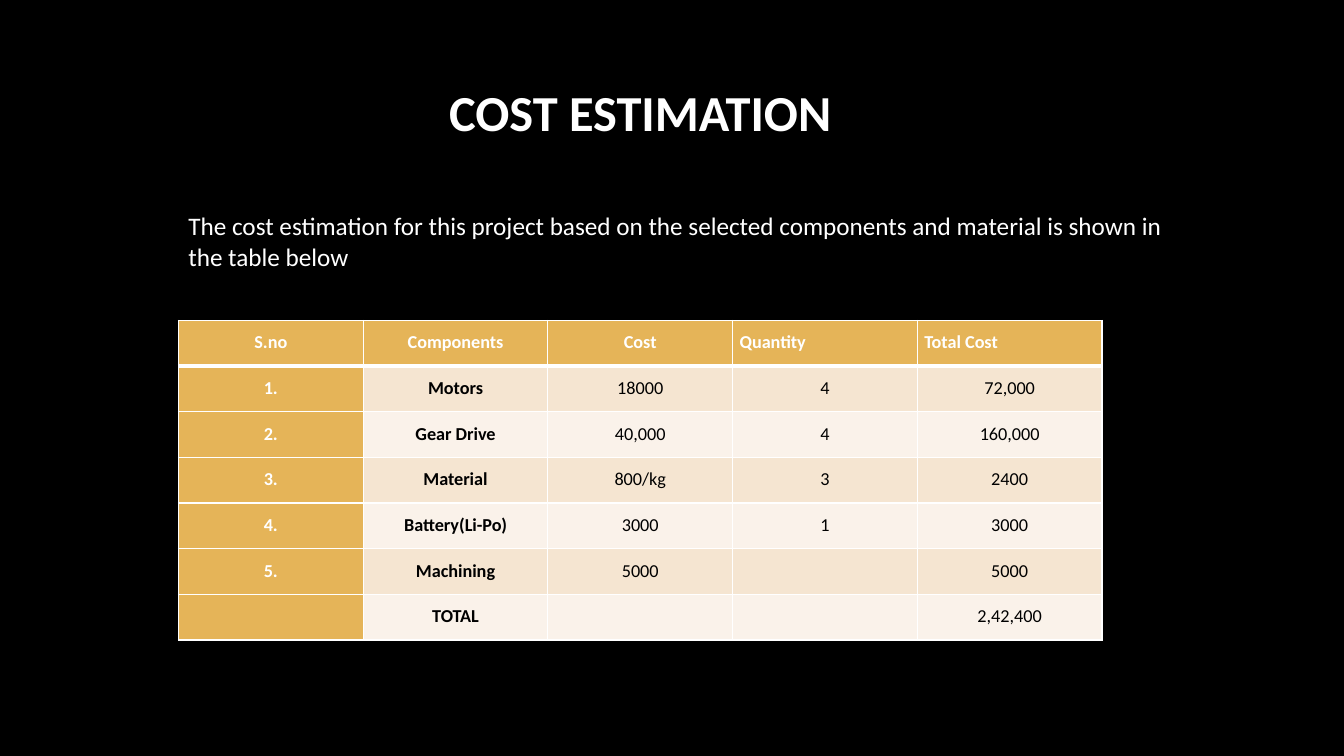
from dataclasses import dataclass

import lxml.etree
import pptx
import pptx.dml.color
import pptx.enum.text
import pptx.oxml.ns
import pptx.util

Inches = pptx.util.Inches
Align = pptx.enum.text.PP_ALIGN
Anchor = pptx.enum.text.MSO_ANCHOR


@dataclass(frozen=True)
class Theme:
    font: str = "Calibri"
    background: str = "000000"
    light: str = "FFFFFF"
    dark: str = "000000"
    accent: str = "E5B458"
    bands: tuple = ("F5E5D1", "FAF2EA")
    title_size: int = 36
    body_size: int = 18
    table_size: int = 13
    thin_border: int = 1
    thick_border: int = 3


THEME = Theme()

COST_ROWS = [
    ("S.no", "Components", "Cost", "Quantity", "Total Cost"),
    ("1.", "Motors", "18000", "4", "72,000"),
    ("2.", "Gear Drive", "40,000", "4", "160,000"),
    ("3.", "Material", "800/kg", "3", "2400"),
    ("4.", "Battery(Li-Po)", "3000", "1", "3000"),
    ("5.", "Machining", "5000", "", "5000"),
    ("", "TOTAL", "", "", "2,42,400"),
]


def apply_format(target, values):
    for name, value in values.items():
        setattr(target, name, value)


def write_text(frame, text, size, color, bold=False, **paragraph_format):
    paragraph = frame.paragraphs[0]
    apply_format(paragraph, paragraph_format)
    if text:
        run = paragraph.add_run()
        run.text = text
        font = run.font
    else:
        font = paragraph.font
    apply_format(font, {"name": THEME.font, "size": pptx.util.Pt(size), "bold": bold})
    font.color.rgb = pptx.dml.color.RGBColor.from_string(color)


def add_text(slide, box, text, size, anchor=Anchor.TOP, **text_format):
    shape = slide.shapes.add_textbox(*map(Inches, box))
    apply_format(shape.text_frame, {"word_wrap": True, "vertical_anchor": anchor})
    write_text(shape.text_frame, text, size, THEME.light, **text_format)


def set_borders(cell, widths):
    qn = pptx.oxml.ns.qn
    properties = cell._tc.get_or_add_tcPr()
    for side, width in widths.items():
        line = lxml.etree.SubElement(
            properties, qn(f"a:ln{side}"), w=str(pptx.util.Pt(width))
        )
        fill = lxml.etree.SubElement(line, qn("a:solidFill"))
        lxml.etree.SubElement(fill, qn("a:srgbClr"), val=THEME.light)


def style_cell(cell, text, row, column):
    header = row == 0
    accented = header or column == 0
    borders = dict.fromkeys("LRTB", THEME.thin_border)
    if row < 2:
        borders["B" if header else "T"] = THEME.thick_border
    set_borders(cell, borders)
    cell.fill.solid()
    fill_color = THEME.accent if accented else THEME.bands[(row - 1) % 2]
    cell.fill.fore_color.rgb = pptx.dml.color.RGBColor.from_string(fill_color)
    apply_format(cell, {
        "margin_left": Inches(0.07),
        "margin_right": Inches(0.07),
        "margin_top": 0,
        "margin_bottom": 0,
    })
    write_text(
        cell.text_frame, text, THEME.table_size,
        THEME.light if accented else THEME.dark,
        bold=accented or column == 1,
        alignment=Align.JUSTIFY if header and column > 2 else Align.CENTER,
        line_spacing=1.5,
    )


def add_cost_table(slide, box, rows):
    frame = slide.shapes.add_table(len(rows), len(rows[0]), *map(Inches, box))
    for row, values in enumerate(rows):
        for column, text in enumerate(values):
            style_cell(frame.table.cell(row, column), text, row, column)


def build_cost_slide(presentation):
    slide = presentation.slides.add_slide(presentation.slide_layouts[6])
    background = slide.background.fill
    background.solid()
    background.fore_color.rgb = pptx.dml.color.RGBColor.from_string(THEME.background)
    add_text(
        slide, (0.81, 0.31, 11.08, 1.59), "COST ESTIMATION", THEME.title_size,
        anchor=Anchor.MIDDLE, bold=True, alignment=Align.CENTER,
    )
    add_cost_table(slide, (1.77, 3.18, 9.16, 3.17), COST_ROWS)
    add_text(
        slide, (1.77, 2.04, 10.2, 0.71),
        "The cost estimation for this project based on the selected components "
        "and material is shown in the table below",
        THEME.body_size,
    )


def main():
    presentation = pptx.Presentation()
    apply_format(presentation, {
        "slide_width": Inches(13.33),
        "slide_height": Inches(7.5),
    })
    build_cost_slide(presentation)
    presentation.save("out.pptx")


if __name__ == "__main__":
    main()
